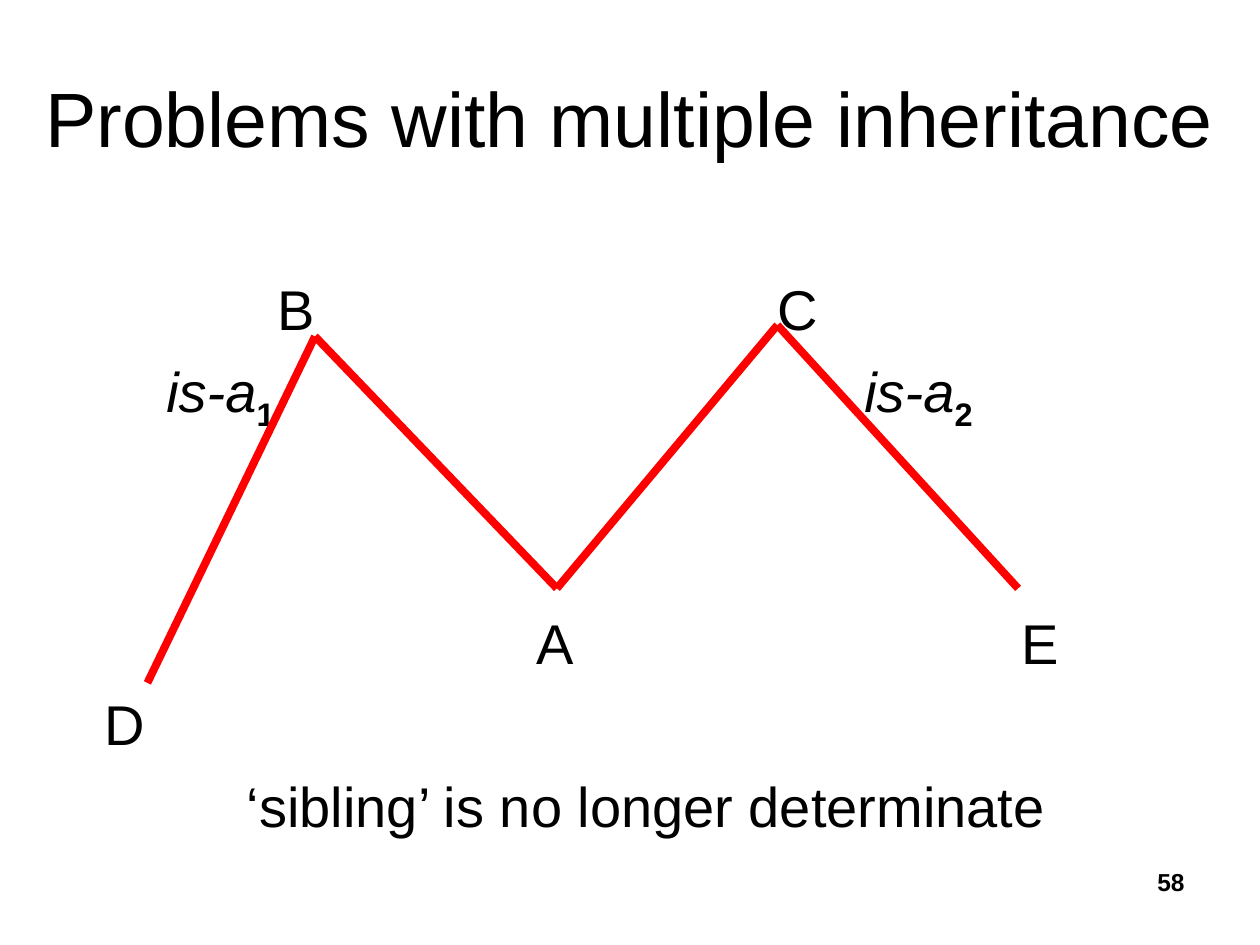
from pptx import Presentation
from pptx.dml.color import RGBColor
from pptx.enum.shapes import MSO_CONNECTOR
from pptx.enum.text import MSO_ANCHOR, PP_ALIGN
from pptx.oxml.ns import qn
from pptx.util import Inches, Pt
from lxml import etree

BLACK = RGBColor(0, 0, 0)
RED = RGBColor(255, 0, 0)
FONT = "Arial"
STRAIGHT = MSO_CONNECTOR.STRAIGHT
LEFT, CENTER, RIGHT = PP_ALIGN.LEFT, PP_ALIGN.CENTER, PP_ALIGN.RIGHT
TOP, MIDDLE = MSO_ANCHOR.TOP, MSO_ANCHOR.MIDDLE
BODY_SIZE = 32
LINE_HEIGHT = 0.52

# Node labels: text, left, top, within the diagram box
NODE_LABELS = [
    ("B", 1.7, 0.1),
    ("C", 5.67, 0.1),
    ("A", 3.76, 2.75),
    ("E", 7.61, 2.75),
    ("D", 0.33, 3.39),
]
# Relation labels: subscript, left, top
RELATION_LABELS = [("1", 0.82, 0.75), ("2", 6.36, 0.75)]
# Ends of the tree edges
NODES = {
    "A": (3.92, 2.59),
    "B": (2, 0.59),
    "C": (5.67, 0.5),
    "D": (0.67, 3.34),
    "E": (7.58, 2.59),
}
EDGES = ["BA", "CA", "BD", "CE"]


def style_run(run, size, bold=False, italic=False):
    run.font.name = FONT
    run.font.size = Pt(size)
    run.font.color.rgb = BLACK
    run.font.bold = bold
    run.font.italic = italic


def add_text(slide, box, text, size, align=LEFT, anchor=TOP, bold=False,
             italic=False, margins=(0, 0)):
    shape = slide.shapes.add_textbox(*(Inches(length) for length in box))
    frame = shape.text_frame
    frame.word_wrap = True
    frame.vertical_anchor = anchor
    frame.margin_left = frame.margin_right = Inches(margins[0])
    frame.margin_top = frame.margin_bottom = Inches(margins[1])
    frame.text = text
    paragraph = frame.paragraphs[0]
    paragraph.alignment = align
    style_run(paragraph.runs[0], size, bold, italic)
    return paragraph


def add_edge(slide, start, end):
    ends = [Inches(length) for length in (*start, *end)]
    connector = slide.shapes.add_connector(STRAIGHT, *ends)
    connector.line.color.rgb = RED
    connector.line.width = Pt(4.5)
    etree.SubElement(connector._element.spPr, qn("a:effectLst"))


def add_diagram(slide, box):
    left, top = box[:2]
    # Labels
    for text, x, y in NODE_LABELS:
        add_text(slide, (left + x, top + y, 0.5, LINE_HEIGHT), text, BODY_SIZE)
    for number, x, y in RELATION_LABELS:
        paragraph = add_text(slide, (left + x, top + y, 1.2, LINE_HEIGHT),
                             "is-a", BODY_SIZE, italic=True)
        subscript = paragraph.add_run()
        subscript.text = number
        style_run(subscript, BODY_SIZE, bold=True)
        subscript.font._element.set("baseline", "-25000")
    # Edges
    points = {name: (left + x, top + y) for name, (x, y) in NODES.items()}
    for first, second in EDGES:
        add_edge(slide, points[first], points[second])


def main():
    presentation = Presentation()
    presentation.slide_width = Inches(10)
    presentation.slide_height = Inches(7.5)
    slide = presentation.slides.add_slide(presentation.slide_layouts[6])

    # Title
    add_text(slide, (0.25, 0.3, 9.5, 1.25), "Problems with multiple inheritance",
             44, CENTER, MIDDLE, margins=(0.1, 0.05))
    add_diagram(slide, (0.5, 2.08, 9, 4))
    # Conclusion
    add_text(slide, (1.96, 6.12, 7, LINE_HEIGHT),
             "‘sibling’ is no longer determinate", BODY_SIZE)
    # Slide number
    add_text(slide, (7.17, 6.83, 2.33, LINE_HEIGHT), "58", 14, RIGHT,
             bold=True, margins=(0.1, 0.05))

    presentation.save("out.pptx")


if __name__ == "__main__":
    main()
